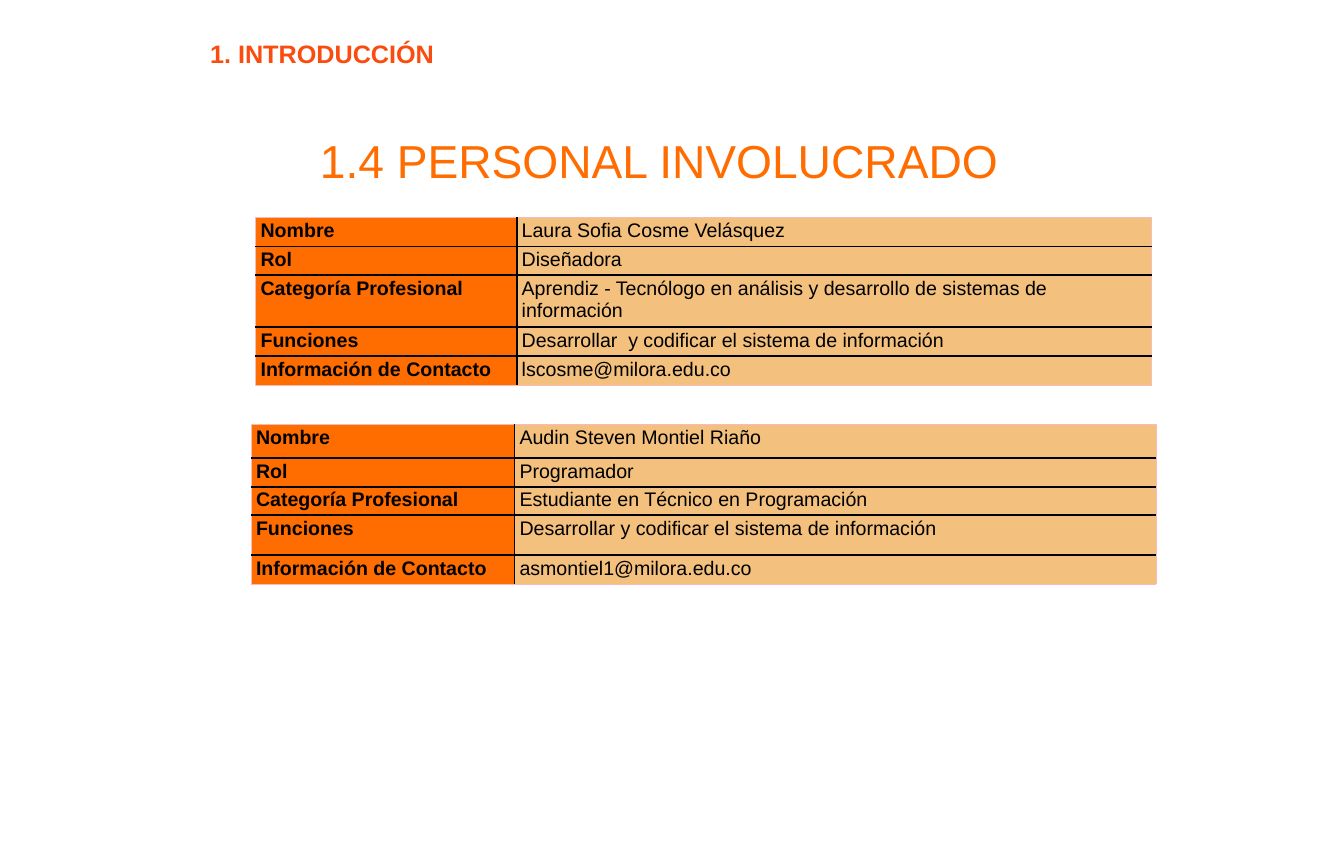
from lxml.etree import SubElement
from pptx import Presentation
from pptx.dml.color import RGBColor
from pptx.enum.text import MSO_ANCHOR, MSO_AUTO_SIZE, PP_ALIGN
from pptx.oxml.ns import qn
from pptx.util import Cm, Pt

ORANGE = RGBColor(0xFF, 0x6D, 0x00)
RED_ORANGE = RGBColor(0xFB, 0x4C, 0x0F)
SAND = RGBColor(0xF3, 0xC0, 0x7D)
PINK = RGBColor(0xF7, 0xBB, 0xBA)
BLACK = RGBColor(0x00, 0x00, 0x00)

LABELS = ["Nombre", "Rol", "Categoría Profesional", "Funciones", "Información de Contacto"]
DESIGNER = [
    "Laura Sofia Cosme Velásquez",
    "Diseñadora",
    "Aprendiz - Tecnólogo en análisis y desarrollo de sistemas de información",
    "Desarrollar  y codificar el sistema de información",
    "lscosme@milora.edu.co",
]
PROGRAMMER = [
    "Audin Steven Montiel Riaño",
    "Programador",
    "Estudiante en Técnico en Programación",
    "Desarrollar y codificar el sistema de información",
    "asmontiel1@milora.edu.co",
]


class SlideBuilder:
    font_name = "Arial"
    inner_border = (BLACK, Pt(3))
    outer_border = (PINK, Pt(0.75))

    def __init__(self, presentation):
        self.slide = presentation.slides.add_slide(presentation.slide_layouts[5])

    def set_text(self, text_frame, text, size, color, bold=False):
        text_frame.text = text
        text_frame.word_wrap = True
        paragraph = text_frame.paragraphs[0]
        paragraph.font.name = self.font_name
        paragraph.font.size = Pt(size)
        paragraph.font.bold = bold
        paragraph.font.color.rgb = color
        return paragraph

    def title(self, text, left, top, width, height):
        shape = self.slide.shapes.title
        shape.left, shape.top, shape.width, shape.height = map(Cm, (left, top, width, height))
        text_frame = shape.text_frame
        text_frame.vertical_anchor = MSO_ANCHOR.TOP
        text_frame.auto_size = MSO_AUTO_SIZE.NONE
        self.set_text(text_frame, text, 66, ORANGE).alignment = PP_ALIGN.CENTER

    def section(self, text, left, top, width, height):
        shape = self.slide.shapes.add_textbox(*map(Cm, (left, top, width, height)))
        text_frame = shape.text_frame
        text_frame.vertical_anchor = MSO_ANCHOR.MIDDLE
        text_frame.margin_left = text_frame.margin_right = Cm(0.2)
        self.set_text(text_frame, text, 36, RED_ORANGE, bold=True)

    def border(self, cell, side, color, width):
        properties = cell._tc.get_or_add_tcPr()
        line = SubElement(properties, qn(f"a:ln{side}"), w=str(width))
        fill = SubElement(line, qn("a:solidFill"))
        SubElement(fill, qn("a:srgbClr"), val=str(color))

    def person_table(self, values, left, top, column_widths, row_heights):
        frame = self.slide.shapes.add_table(
            len(LABELS), 2, Cm(left), Cm(top), Cm(sum(column_widths)), Cm(sum(row_heights))
        )
        table = frame.table
        table.first_row = table.horz_banding = False
        for column, width in zip(table.columns, column_widths):
            column.width = Cm(width)
        for row, height in zip(table.rows, row_heights):
            row.height = Cm(height)
        last_row = len(LABELS) - 1
        for row_index, texts in enumerate(zip(LABELS, values)):
            for column_index, text in enumerate(texts):
                cell = table.cell(row_index, column_index)
                is_label = column_index == 0
                outer_sides = {
                    "L": is_label,
                    "R": not is_label,
                    "T": row_index == 0,
                    "B": row_index == last_row,
                }
                for side, is_outer in outer_sides.items():
                    self.border(cell, side, *(self.outer_border if is_outer else self.inner_border))
                cell.fill.solid()
                cell.fill.fore_color.rgb = ORANGE if is_label else SAND
                self.set_text(cell.text_frame, text, 28, BLACK, bold=is_label)


def main():
    presentation = Presentation()
    presentation.slide_width = Cm(67.74)
    presentation.slide_height = Cm(43.74)
    builder = SlideBuilder(presentation)
    builder.title("1.4 PERSONAL INVOLUCRADO", 11.76, 6.55, 42.93, 3.1)
    builder.section("1. INTRODUCCIÓN", 10.39, 1.75, 13.23, 1.93)
    builder.person_table(DESIGNER, 12.88, 10.97, (13.16, 32), (1.45, 1.45, 2.62, 1.45, 1.45))
    builder.person_table(PROGRAMMER, 12.65, 21.39, (13.28, 32.33), (1.68, 1.45, 1.45, 2, 1.45))
    presentation.save("out.pptx")


if __name__ == "__main__":
    main()
